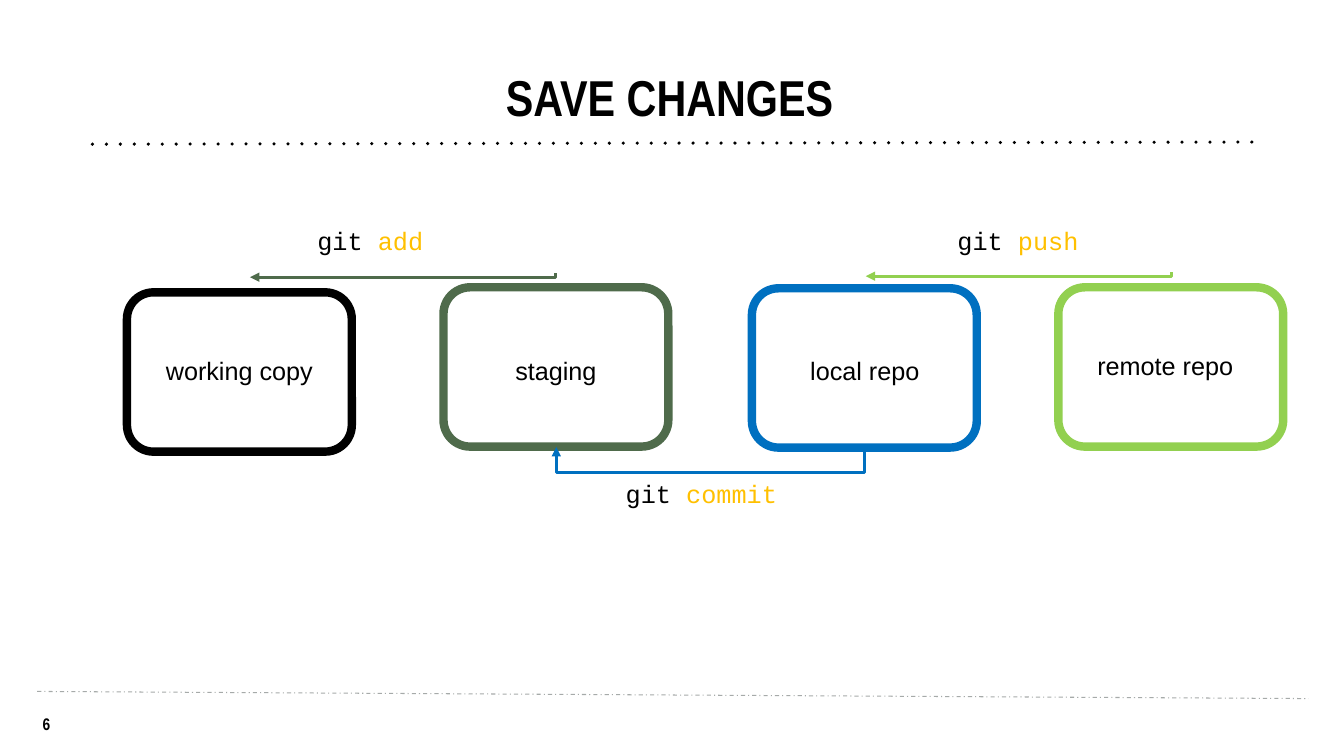
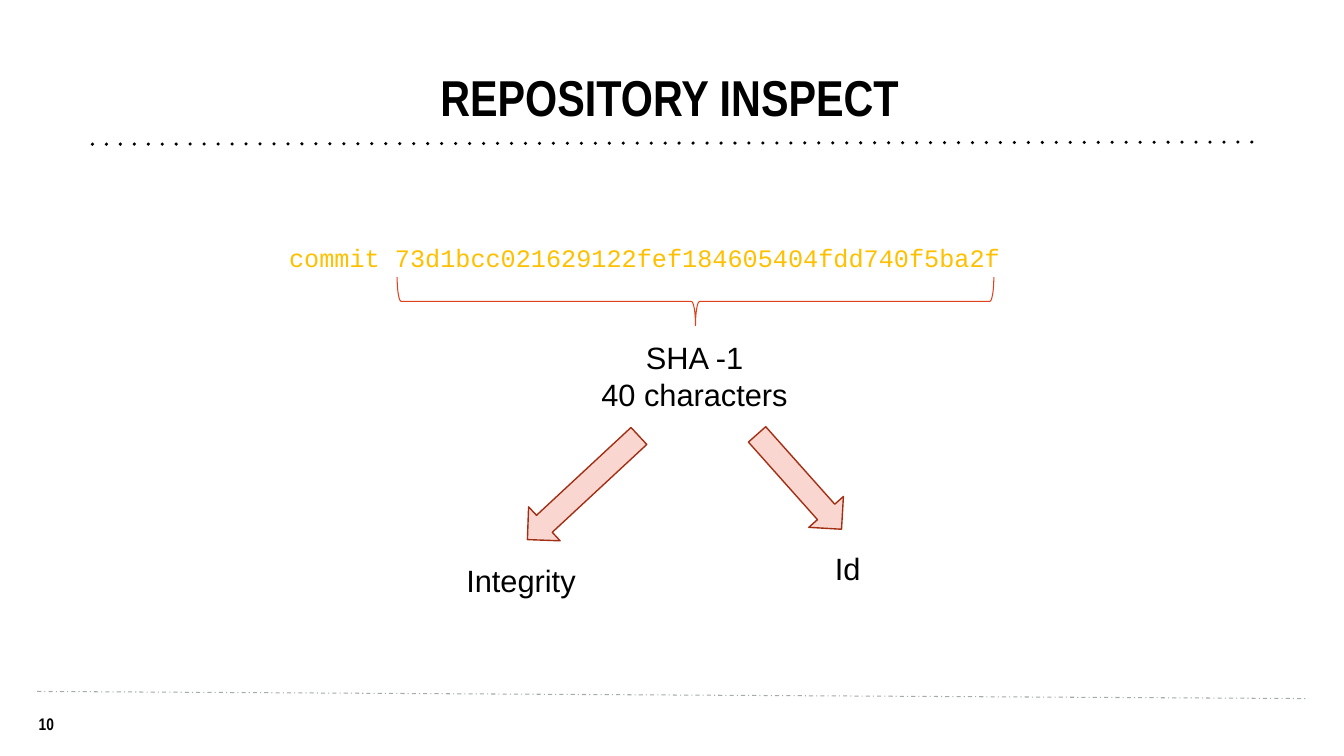
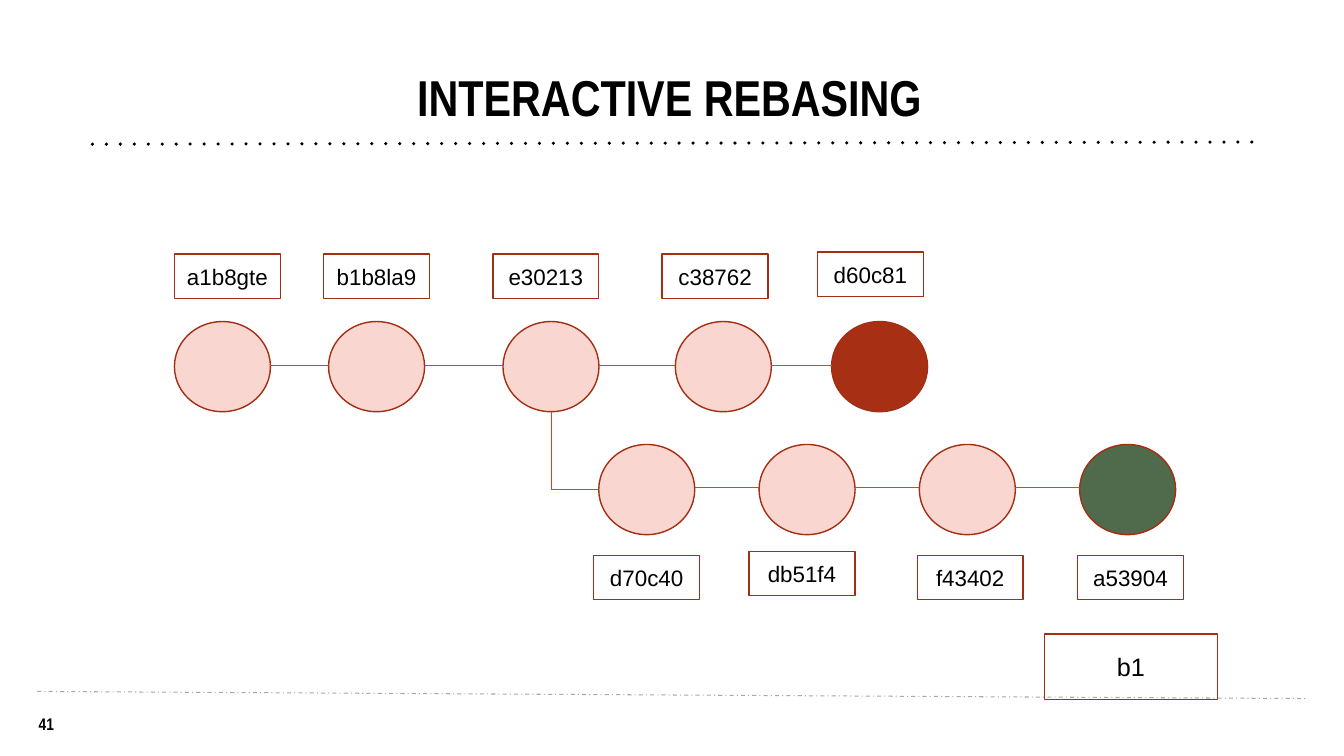
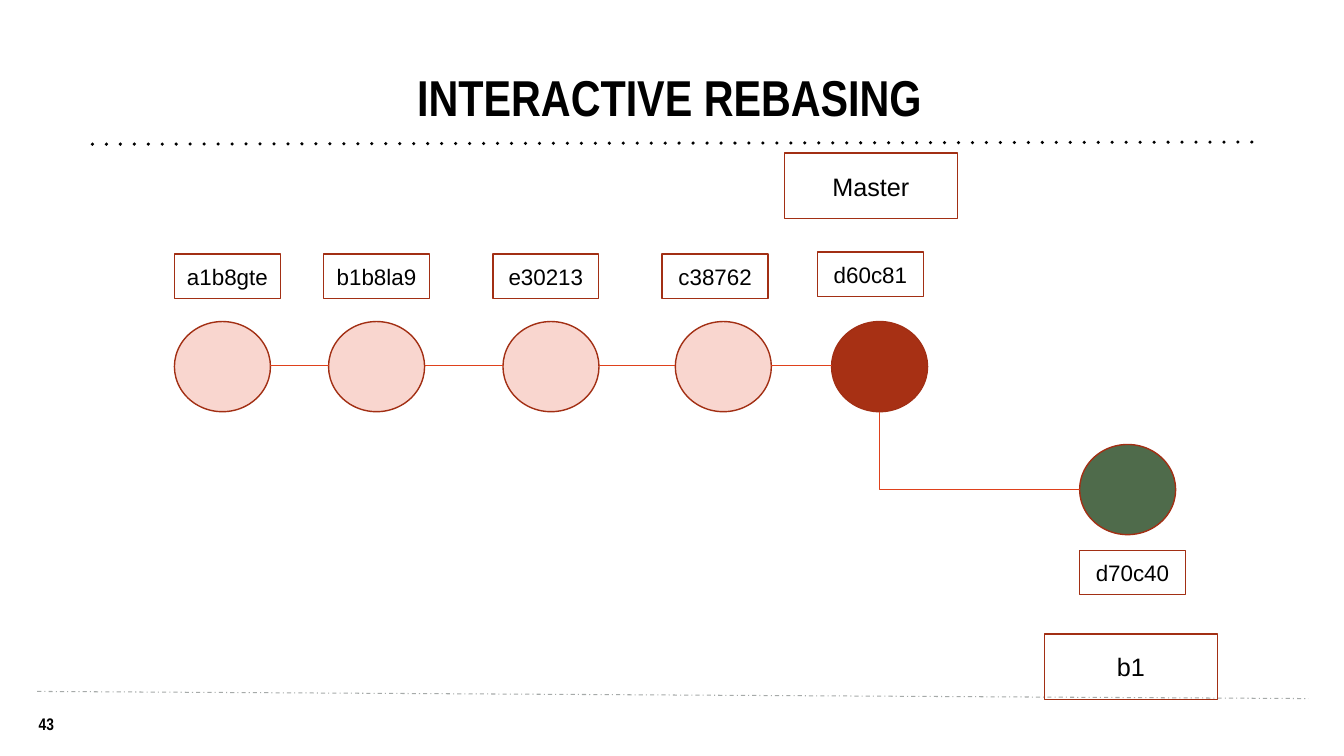
from dataclasses import dataclass
from itertools import pairwise
from typing import Optional

from pptx import Presentation
from pptx.dml.color import RGBColor
from pptx.enum import shapes, text
from pptx.oxml import xmlchemy as x
from pptx.util import Pt

COLORS = {
    "black": "000000",
    "rule": "A6AAA9",
    "green": "4F6B4B",
    "blue": "0070C0",
    "lime": "92D050",
    "amber": "FFC000",
    "pink": "F9D6CF",
    "brick": "A73014",
    "outline": "A22F14",
    "red": "DF411C",
}
SHAPE = shapes.MSO_SHAPE
CENTER, LEFT = text.PP_ALIGN.CENTER, text.PP_ALIGN.LEFT
TOP, MIDDLE, BOTTOM = text.MSO_ANCHOR.TOP, text.MSO_ANCHOR.MIDDLE, text.MSO_ANCHOR.BOTTOM
MARGINS = (7.2, 3.6, 7.2, 3.6)
CIRCLE_W, CIRCLE_H = 68.6, 64.4
MAIN_Y, BRANCH_Y = 229.7, 317.5
BRANCH_X, BRANCH_STEP = 427.7, 114.5


@dataclass(frozen=True)
class Box:
    x: float
    y: float
    w: float
    h: float


@dataclass(frozen=True)
class Font:
    size: float
    name: str = "Arial"
    bold: bool = False


@dataclass(frozen=True)
class Stage:
    name: str
    box: Box
    label: Box
    color: str


@dataclass(frozen=True)
class Command:
    name: str
    box: Box


@dataclass(frozen=True)
class Tag:
    name: str
    x: float
    y: float


@dataclass(frozen=True)
class Commit:
    x: float
    y: float
    color: str = "pink"


CODE = Font(18, "Courier New")
BODY = Font(18)
LARGE = Font(22)
TAG = Font(16)
TITLE = Font(36, "Arial Narrow", True)
NUMBER = Font(12, "Arial Narrow", True)

STAGES = [
    Stage("working copy", Box(90.7, 208.8, 160.6, 113.8), Box(90.7, 250.6, 160.6, 28.8), "black"),
    Stage("staging", Box(316.8, 205.2, 160.6, 113.8), Box(316.8, 250.6, 160.6, 28.8), "green"),
    Stage("local repo", Box(537.1, 205.9, 160.6, 113.8), Box(537.1, 250.6, 161.3, 28.8), "blue"),
    Stage("remote repo", Box(756, 205.2, 160.6, 113.8), Box(751.7, 247, 161.3, 28.8), "lime"),
]
COMMANDS = [
    Command("add", Box(219.6, 157.7, 101.5, 28.8)),
    Command("commit", Box(439.9, 338.4, 133.9, 28.8)),
    Command("push", Box(676.8, 157.7, 101.5, 28.8)),
]
MAIN = [Commit(left, MAIN_Y) for left in (124.6, 234.7, 359.3, 482.4)]
MAIN.append(Commit(594, MAIN_Y, "brick"))
BRANCH = [Commit(BRANCH_X + BRANCH_STEP * i, BRANCH_Y) for i in range(3)]
BRANCH.append(Commit(BRANCH_X + BRANCH_STEP * 3, BRANCH_Y, "green"))
MAIN_TAGS = [
    Tag("a1b8gte", 124.6, 181.4),
    Tag("b1b8la9", 231.1, 181.4),
    Tag("e30213", 352.1, 181.4),
    Tag("c38762", 473, 181.4),
    Tag("d60c81", 583.9, 180),
]
BRANCH_TAGS = [
    Tag("d70c40", 424.1, 396.7),
    Tag("db51f4", 535, 393.8),
    Tag("f43402", 655.2, 396.7),
    Tag("a53904", 769.7, 396.7),
]


def rgb(color: str) -> RGBColor:
    return RGBColor.from_string(COLORS[color])


def apply(target, values: dict) -> None:
    for name, value in values.items():
        setattr(target, name, value)


def place(sp, box: Box) -> None:
    apply(sp, {"left": Pt(box.x), "top": Pt(box.y), "width": Pt(box.w), "height": Pt(box.h)})


def write(tf, lines: list, font: Font, align=CENTER, anchor=TOP,
          margins=MARGINS, spacing: Optional[float] = None) -> None:
    left, top, right, bottom = (Pt(m) for m in margins)
    apply(tf, {
        "word_wrap": True, "auto_size": text.MSO_AUTO_SIZE.NONE, "vertical_anchor": anchor,
        "margin_left": left, "margin_top": top, "margin_right": right, "margin_bottom": bottom,
    })
    for i, runs in enumerate(lines):
        p = tf.add_paragraph() if i else tf.paragraphs[0]
        apply(p, {"alignment": align, "line_spacing": spacing})
        for content, color in runs:
            r = p.add_run()
            r.text = content
            apply(r.font, {"size": Pt(font.size), "name": font.name, "bold": font.bold})
            r.font.color.rgb = rgb(color)


def add_text(s, box: Box, lines: list, font: Font, **layout) -> None:
    sp = s.shapes.add_textbox(Pt(box.x), Pt(box.y), Pt(box.w), Pt(box.h))
    write(sp.text_frame, lines, font, **layout)


def add_label(s, box: Box, content: str, font: Font) -> None:
    add_text(s, box, [[(line, "black")] for line in content.split("\n")], font)


def add_shape(s, kind, box: Box, line: str, width: float,
              fill: Optional[str] = None, rotation: float = 0):
    sp = s.shapes.add_shape(kind, Pt(box.x), Pt(box.y), Pt(box.w), Pt(box.h))
    sp.shadow.inherit = False
    sp.rotation = rotation
    if fill:
        sp.fill.solid()
        sp.fill.fore_color.rgb = rgb(fill)
    else:
        sp.fill.background()
    sp.line.color.rgb = rgb(line)
    sp.line.width = Pt(width)
    return sp


def add_child(parent, tag: str, **attributes: str) -> None:
    child = x.OxmlElement(tag)
    for name, value in attributes.items():
        child.set(name, value)
    parent.append(child)


def add_line(s, begin: tuple, end: tuple, color: str, width: float,
             kind=shapes.MSO_CONNECTOR.STRAIGHT, dash: str = "", cap: str = "", arrow: bool = False):
    cn = s.shapes.add_connector(kind, *(Pt(v) for v in (*begin, *end)))
    cn.line.color.rgb = rgb(color)
    cn.line.width = Pt(width)
    ln = cn.get_or_add_ln()
    if cap:
        ln.set("cap", cap)
    if dash:
        add_child(ln, "a:prstDash", val=dash)
    if arrow:
        add_child(ln, "a:tailEnd", type="triangle")
    add_child(cn.element.spPr, "a:effectLst")
    return cn


def add_elbow(s, begin: tuple, end: tuple, color: str, width: float, bend: Optional[float] = None,
              rotation: int = 0, arrow: bool = False) -> None:
    cn = add_line(s, begin, end, color, width, shapes.MSO_CONNECTOR.ELBOW, arrow=arrow)
    spPr = cn.element.spPr
    if rotation:
        w, h = abs(end[1] - begin[1]), abs(end[0] - begin[0])
        place(cn, Box((begin[0] + end[0] - w) / 2, (begin[1] + end[1] - h) / 2, w, h))
        for name in ("flipH", "flipV"):
            spPr.xfrm.attrib.pop(name, None)
        spPr.xfrm.set("flipH", "1")
        spPr.xfrm.set("rot", str(rotation * 60000))
    geom = spPr.prstGeom
    if bend is None:
        geom.set("prst", "bentConnector2")
    else:
        add_child(geom.get_or_add_avLst(), "a:gd", name="adj1", fmla=f"val {round(bend * 100000)}")


def add_slide(prs, title: str, number: int):
    s = prs.slides.add_slide(prs.slide_layouts[5])
    sp = s.shapes.title
    place(sp, Box(95, 12.2, 774, 80.6))
    write(sp.text_frame, [[(title, "black")]], TITLE, anchor=BOTTOM,
          margins=(0, 3.6, 7.2, 3.6), spacing=0.7)
    add_text(s, Box(15.8, 509.8, 34.6, 14.4), [[(str(number), "black")]], NUMBER, margins=(0, 0, 0, 0))
    add_line(s, (26.6, 493.9), (934.6, 499), "rule", 0.75, dash="dashDot")
    add_line(s, (894.2, 101.5), (63.4, 103), "black", 2.5, dash="dot", cap="rnd")
    return s


def add_tag(s, box: Box, name: str, font: Font) -> None:
    sp = add_shape(s, SHAPE.RECTANGLE, box, "outline", 1)
    write(sp.text_frame, [[(name, "black")]], font, anchor=MIDDLE)


def add_tags(s, tags: list) -> None:
    for tag in tags:
        add_tag(s, Box(tag.x, tag.y, 75.6, 31.7), tag.name, TAG)


def add_branch_name(s, name: str, left: float, top: float) -> None:
    add_tag(s, Box(left, top, 123.8, 46.8), name, BODY)


def add_commits(s, commits: list, line_y: float) -> None:
    for c in commits:
        add_shape(s, SHAPE.OVAL, Box(c.x, c.y, CIRCLE_W, CIRCLE_H), "outline", 1, c.color)
    for a, b in pairwise(commits):
        add_line(s, (a.x + CIRCLE_W, line_y), (b.x, line_y), "red", 0.75)


def add_fork(s, parent: Commit, child: Commit) -> None:
    begin = (parent.x + CIRCLE_W / 2, parent.y + CIRCLE_H)
    add_elbow(s, begin, (child.x, child.y + CIRCLE_H / 2), "red", 0.75, rotation=270)


def build_save_changes(prs) -> None:
    s = add_slide(prs, "SAVE CHANGES", 6)
    for stage in STAGES:
        add_shape(s, SHAPE.ROUNDED_RECTANGLE, stage.box, stage.color, 6)
        add_label(s, stage.label, stage.name, BODY)
    for command in COMMANDS:
        add_text(s, command.box, [[("git ", "black"), (command.name, "amber")]], CODE, align=LEFT)
    add_elbow(s, (617.8, 320.02), (397.4, 319.3), "blue", 2.25, bend=-25, rotation=90, arrow=True)
    add_elbow(s, (396.7, 195.1), (178.6, 198), "green", 2.25, bend=0, arrow=True)
    add_elbow(s, (836.6, 194.4), (618.5, 197.3), "lime", 2.25, bend=0, arrow=True)


def build_repository_inspect(prs) -> None:
    s = add_slide(prs, "REPOSITORY INSPECT", 10)
    add_text(s, Box(199.4, 169.2, 524.9, 28.8),
             [[("commit 73d1bcc021629122fef184605404fdd740f5ba2f", "amber")]], CODE, align=LEFT)
    add_shape(s, SHAPE.LEFT_BRACE, Box(479.5, 2.2, 34.6, 426.2), "red", 0.75, rotation=270)
    add_label(s, Box(406.1, 238.3, 180, 60.5), "SHA -1\n40 characters", LARGE)
    for box, rotation in ((Box(362.2, 331.9, 108.7, 33.1), 317.1), (Box(525.6, 327.6, 90.7, 33.1), 228.3)):
        add_shape(s, SHAPE.LEFT_ARROW, box, "outline", 1, "pink", rotation)
    add_label(s, Box(282.2, 397.4, 180, 33.8), "Integrity", LARGE)
    add_label(s, Box(515.5, 388.8, 180, 33.8), "Id", LARGE)


def build_rebasing(prs, number: int, parent: Commit, branch: list, tags: list):
    s = add_slide(prs, "INTERACTIVE REBASING", number)
    add_commits(s, MAIN, 261.4)
    add_commits(s, branch, 348.5)
    add_fork(s, parent, branch[0])
    add_tags(s, MAIN_TAGS + tags)
    add_branch_name(s, "b1", 745.9, 452.9)
    return s


def main() -> None:
    prs = Presentation()
    apply(prs, {"slide_width": Pt(960), "slide_height": Pt(540)})
    build_save_changes(prs)
    build_repository_inspect(prs)
    build_rebasing(prs, 41, MAIN[2], BRANCH, BRANCH_TAGS)
    s = build_rebasing(prs, 43, MAIN[-1], BRANCH[-1:], [Tag("d70c40", 771.1, 393.1)])
    add_branch_name(s, "Master", 560.2, 109.4)
    prs.save("out.pptx")


if __name__ == "__main__":
    main()
